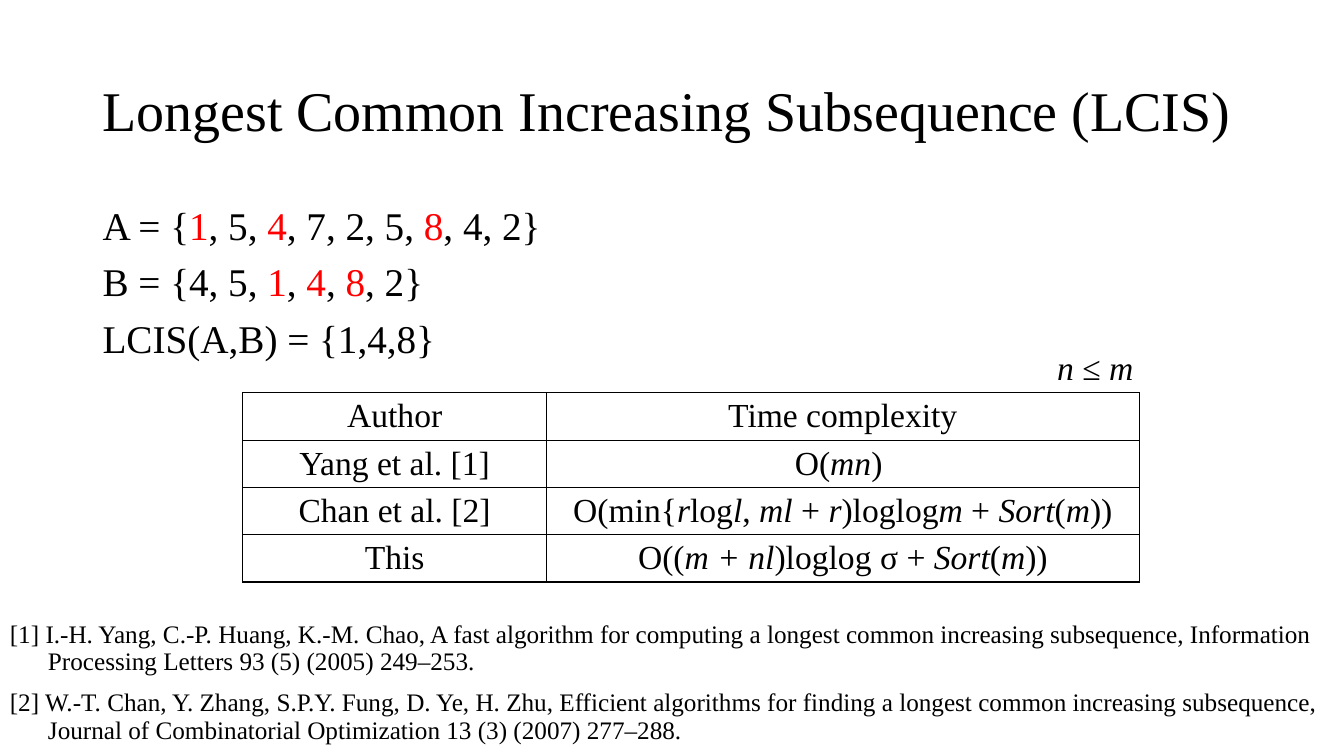
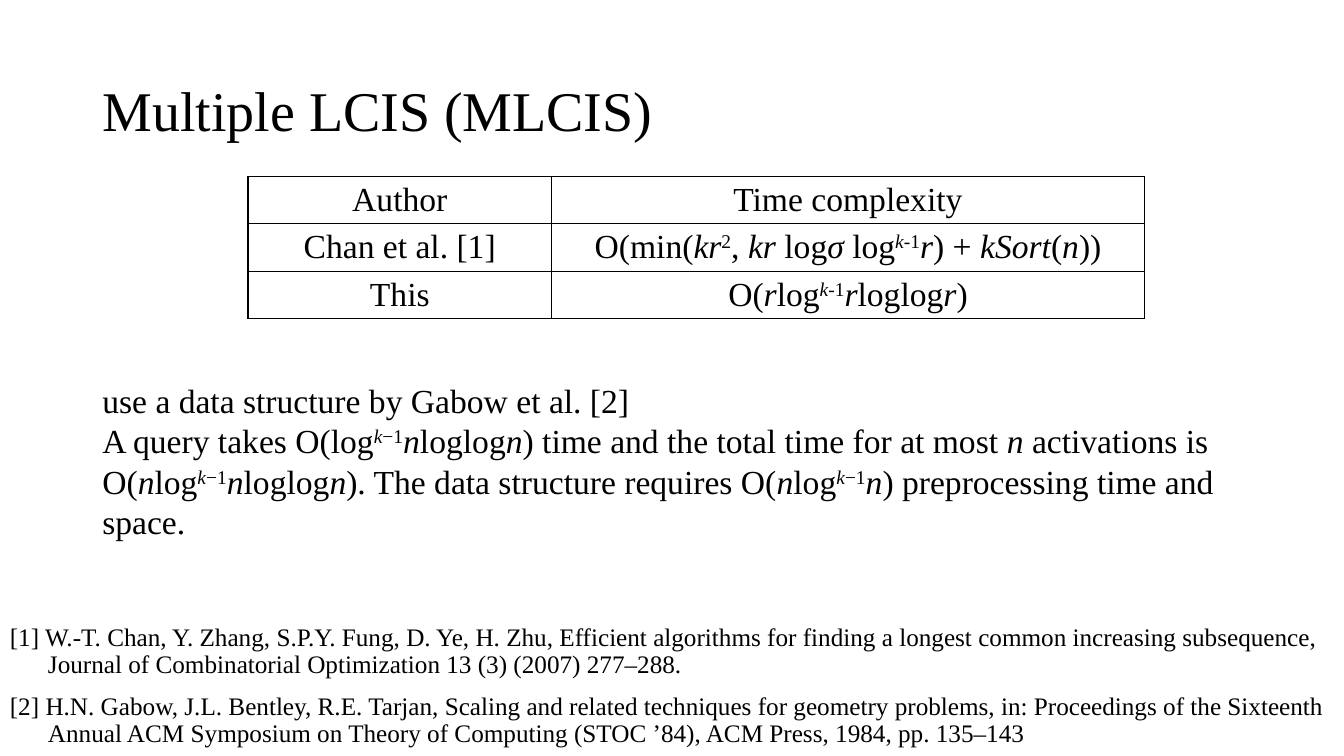
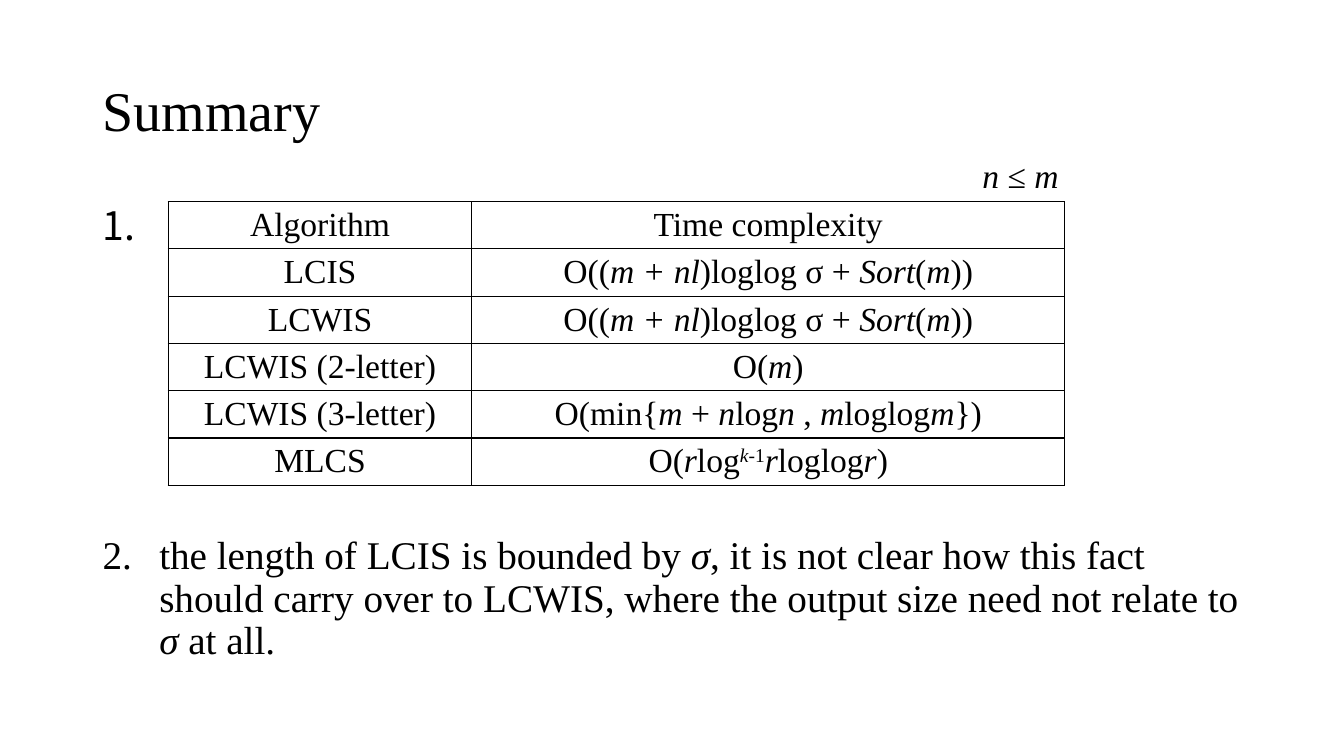
"""Build three slides on longest common increasing subsequences."""
from lxml import etree
from pptx import Presentation
from pptx.dml.color import RGBColor
from pptx.enum.text import MSO_ANCHOR, MSO_AUTO_SIZE, PP_ALIGN
from pptx.oxml.ns import qn
from pptx.util import Cm, Pt

LEFT, CENTER = PP_ALIGN.LEFT, PP_ALIGN.CENTER
MIDDLE, TOP = MSO_ANCHOR.MIDDLE, MSO_ANCHOR.TOP
NO_FIT = MSO_AUTO_SIZE.NONE
COLORS = {"ink": "000000", "match": "FF0000"}
FONT = "Times New Roman"
MARGIN, CONTENT_WIDTH = Cm(2.33), Cm(29.21)
ROW_HEIGHT = Cm(1.19)
COLUMN_WIDTHS = (Cm(7.65), Cm(14.94))


def write_marked(paragraph, text, size):
    """Write text where ~ toggles red, ^ superscript and _ italic."""
    for red, colored in enumerate(text.split("~")):
        for raised, level in enumerate(colored.split("^")):
            for italic, words in enumerate(level.split("_")):
                if not words:
                    continue
                run = paragraph.add_run()
                run.text = words
                font = run.font
                font.name, font.size, font.bold = FONT, Pt(size), False
                font.italic = italic % 2 == 1
                color = COLORS["match" if red % 2 else "ink"]
                font.color.rgb = RGBColor.from_string(color)
                if raised % 2:
                    run._r.get_or_add_rPr().set("baseline", "30000")


def write_list(frame, lines, size, gap, hang=0, numbered=False):
    """Fill a frame with paragraphs that share hanging indent and spacing."""
    frame.word_wrap = True
    frame.auto_size = NO_FIT
    frame.vertical_anchor = TOP
    for index, line in enumerate(lines):
        paragraph = frame.add_paragraph() if index else frame.paragraphs[0]
        properties = paragraph._p.get_or_add_pPr()
        properties.set("marL", str(hang))
        properties.set("indent", str(-hang))
        if numbered:
            etree.SubElement(properties, qn("a:buFont"), typeface=FONT)
            etree.SubElement(properties, qn("a:buAutoNum"), type="arabicPeriod")
        else:
            etree.SubElement(properties, qn("a:buNone"))
        paragraph.line_spacing = 0.9
        paragraph.space_before = Pt(gap if index else 0)
        write_marked(paragraph, line, size)


deck = Presentation()
deck.slide_width, deck.slide_height = Cm(33.87), Cm(19.05)
content_layout, title_layout = deck.slide_layouts[1], deck.slide_layouts[5]

slides = []
for heading, layout in (
    ("Longest Common Increasing Subsequence (LCIS)", content_layout),
    ("Multiple LCIS (MLCIS)", title_layout),
    ("Summary", content_layout),
):
    slide = deck.slides.add_slide(layout)
    title = slide.shapes.title
    title.left, title.top = MARGIN, Cm(1.02)
    title.width, title.height = CONTENT_WIDTH, Cm(3.68)
    title.text_frame.auto_size = NO_FIT
    title.text_frame.vertical_anchor = MIDDLE
    title_line = title.text_frame.paragraphs[0]
    title_line.alignment = LEFT
    title_line.line_spacing = 0.9
    write_marked(title_line, heading, 40)
    slides.append(slide)
lcis_slide, mlcis_slide, summary_slide = slides

example = ["A = {~1~, 5, ~4~, 7, 2, 5, ~8~, 4, 2}",
           "B = {4, 5, ~1~, ~4~, ~8~, 2}",
           "LCIS(A,B) = {1,4,8}"]
remarks = ["　",
           "the length of LCIS is bounded by _σ_, it is not clear how this fact "
           "should carry over to LCWIS, where the output size need not relate to "
           "_σ_ at all."]
for slide, lines, height, gap, hang, numbered in (
    (lcis_slide, example, 4.45, 10, 0, False),
    (summary_slide, remarks, 12.09, 205, Cm(1.43), True),
):
    body = slide.placeholders[1]
    body.left, body.top = MARGIN, Cm(5.08)
    body.width, body.height = CONTENT_WIDTH, Cm(height)
    write_list(body.text_frame, lines, 28, gap, hang, numbered)

lcis_bound = "O((_m + nl_)loglog σ + _Sort_(_m_))"
mlcis_bound = "O(_r_log^_k_-1^_r_loglog_r_)"
lcis_rows = [
    ("Author", "Time complexity"),
    ("Yang et al. [1]", "O(_mn_) "),
    ("Chan et al. [2]", "O(min{_r_log_l_, _ml _+ _r_)loglog_m_ + _Sort_(_m_))"),
    ("This", lcis_bound),
]
mlcis_rows = [
    ("Author", "Time complexity"),
    ("Chan et al. [1]",
     "O(min(_kr_^2^, _kr _log_σ _log^_k_-1^_r_) + _kSort_(_n_))"),
    ("This", mlcis_bound),
]
summary_rows = [
    ("Algorithm", "Time complexity"),
    ("LCIS", lcis_bound),
    ("LCWIS", lcis_bound),
    ("LCWIS (2-letter)", "O(_m_)"),
    ("LCWIS (3-letter)", "O(min{_m_ + _n_log_n_ , _m_loglog_m_})"),
    ("MLCS", mlcis_bound),
]
for slide, rows, left, top in (
    (lcis_slide, lcis_rows, 6.12, 9.9),
    (mlcis_slide, mlcis_rows, 6.25, 4.45),
    (summary_slide, summary_rows, 4.24, 5.08),
):
    table = slide.shapes.add_table(
        len(rows), 2, Cm(left), Cm(top),
        sum(COLUMN_WIDTHS), ROW_HEIGHT * len(rows)).table
    table.first_row = table.horz_banding = False
    for column, width in zip(table.columns, COLUMN_WIDTHS):
        column.width = width
    for table_row, entries in zip(table.rows, rows):
        table_row.height = ROW_HEIGHT
        for cell, entry in zip(table_row.cells, entries):
            cell.fill.background()
            cell_properties = cell._tc.get_or_add_tcPr()
            for position, side in enumerate(("lnL", "lnR", "lnT", "lnB")):
                border = etree.Element(qn("a:" + side), w=str(Pt(1)))
                paint = etree.SubElement(border, qn("a:solidFill"))
                etree.SubElement(paint, qn("a:srgbClr"), val=COLORS["ink"])
                cell_properties.insert(position, border)
            cell_line = cell.text_frame.paragraphs[0]
            cell_line.alignment = CENTER
            write_marked(cell_line, entry, 24)

for slide, left, top in ((lcis_slide, 26.39, 8.61), (summary_slide, 24.51, 3.78)):
    condition = slide.shapes.add_textbox(Cm(left), Cm(top), Cm(2.69), Cm(1.27))
    write_marked(condition.text_frame.paragraphs[0], "_n _≤_ m_", 24)

query_cost = slide_text = mlcis_slide.shapes.add_textbox(
    MARGIN, Cm(9.45), Cm(29.01), Cm(4.37)).text_frame
query_cost.word_wrap = True
write_marked(query_cost.paragraphs[0], "use a data structure by Gabow et al. [2]", 24)
write_marked(
    query_cost.add_paragraph(),
    "A query takes O(log^_k_−1^_n_loglog_n_) time and the total time for at most "
    "_n_ activations is O(_n_log^_k_−1^_n_loglog_n_). The data structure requires "
    "O(_n_log^_k_−1^_n_) preprocessing time and space.", 24)

yang = ("I.-H. Yang, C.-P. Huang, K.-M. Chao, A fast algorithm for computing a "
        "longest common increasing subsequence, Information Processing Letters "
        "93 (5) (2005) 249–253.")
chan = ("W.-T. Chan, Y. Zhang, S.P.Y. Fung, D. Ye, H. Zhu, Efficient algorithms "
        "for finding a longest common increasing subsequence, Journal of "
        "Combinatorial Optimization 13 (3) (2007) 277–288.")
gabow = ("H.N. Gabow, J.L. Bentley, R.E. Tarjan, Scaling and related techniques "
         "for geometry problems, in: Proceedings of the Sixteenth Annual ACM "
         "Symposium on Theory of Computing (STOC ’84), ACM Press, 1984, "
         "pp. 135–143")
for slide, sources, top in (
    (lcis_slide, (yang, chan), 15.54),
    (mlcis_slide, (chan, gabow), 15.62),
):
    references = slide.shapes.add_textbox(
        0, Cm(top), deck.slide_width, deck.slide_height - Cm(top))
    entries = [f"[{number}] {source}" for number, source in enumerate(sources, 1)]
    write_list(references.text_frame, entries, 18, 10, Cm(0.96))

deck.save("out.pptx")
